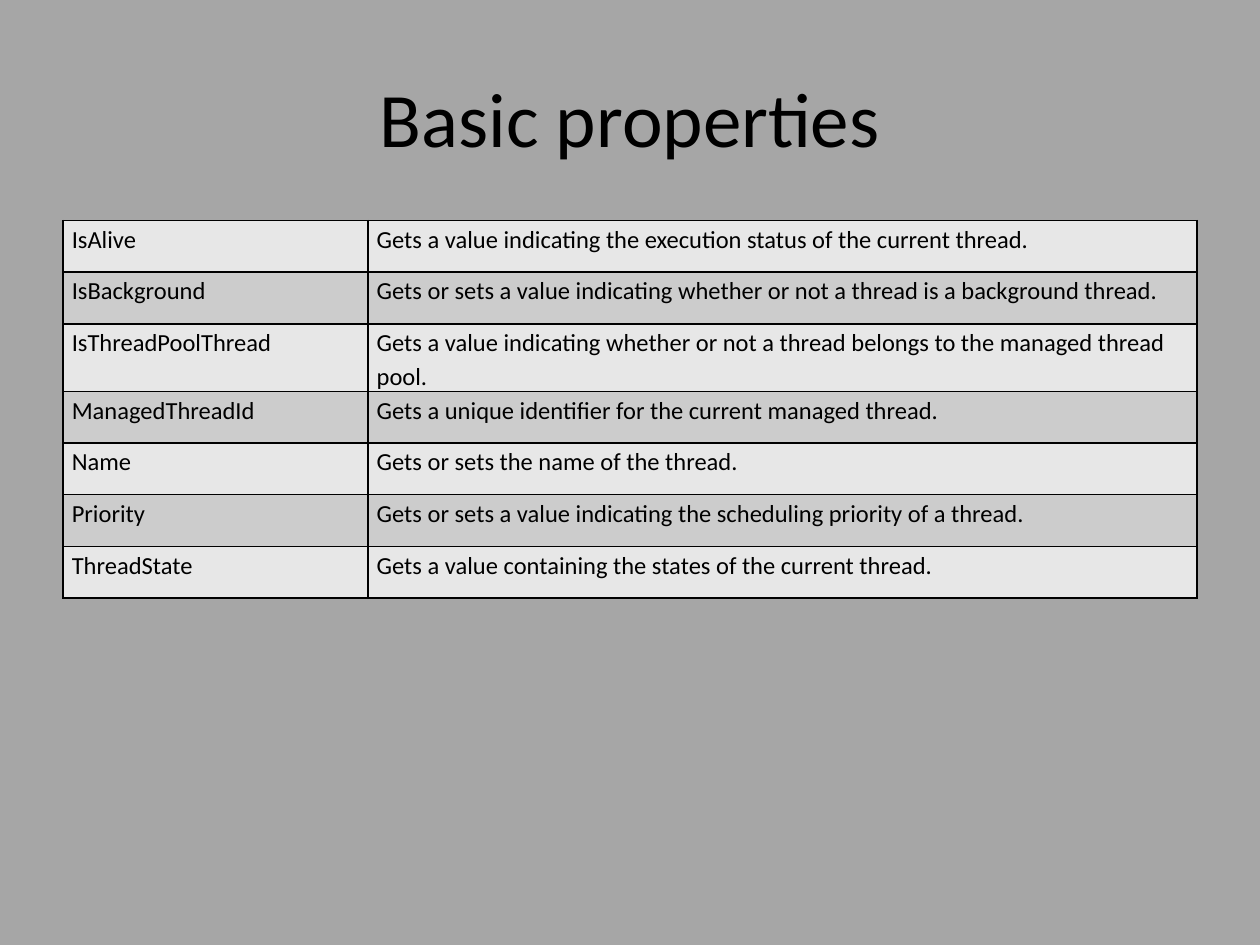
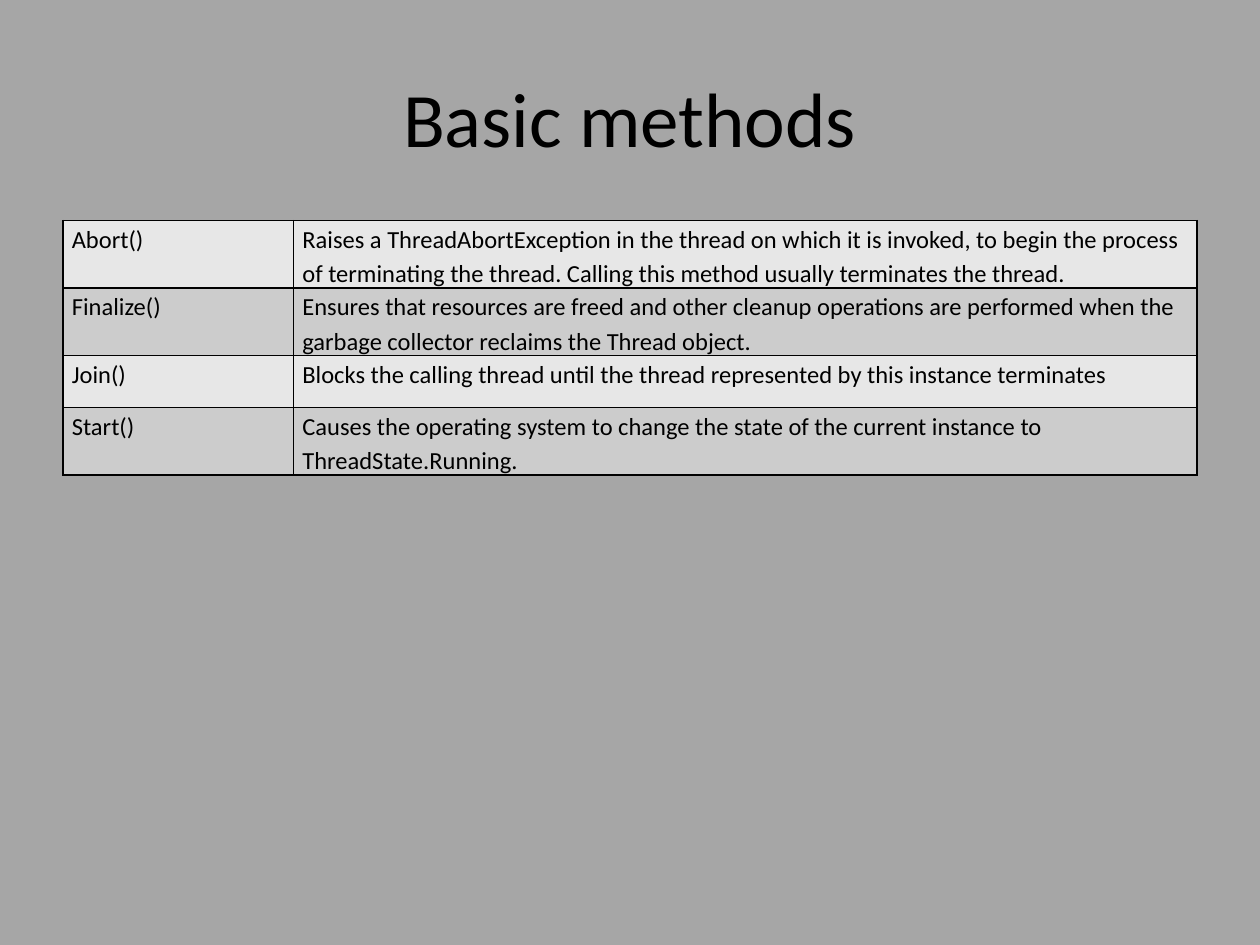
from dataclasses import dataclass

from lxml import etree
from pptx import Presentation
from pptx.dml.color import RGBColor
from pptx.enum.text import MSO_ANCHOR, PP_ALIGN
from pptx.oxml.ns import qn
from pptx.util import Inches, Pt

MIDDLE = MSO_ANCHOR.MIDDLE
TOP = MSO_ANCHOR.TOP
CENTER = PP_ALIGN.CENTER
LEFT = PP_ALIGN.LEFT

COLORS = {
    "background": "A6A6A6",
    "ink": "000000",
    "odd_row": "E7E7E7",
    "even_row": "CCCCCC",
}
FONT = "Calibri"
MARGIN = 0.5
CONTENT_WIDTH = 9
TITLE_TOP = 0.3
TITLE_HEIGHT = 1.25
TABLE_TOP = 1.75
ROW_HEIGHT = 0.41
CELL_INSET = 0.07
BLANK_LAYOUT = 6


@dataclass(frozen=True)
class Member:
    name: str
    description: str


@dataclass(frozen=True)
class ReferencePage:
    title: str
    name_width: float
    members: tuple[Member, ...]


PAGES = (
    ReferencePage("Basic properties", 2.42, (
        Member("IsAlive", "Gets a value indicating the execution status of the current thread."),
        Member("IsBackground",
               "Gets or sets a value indicating whether or not a thread is a background thread."),
        Member("IsThreadPoolThread",
               "Gets a value indicating whether or not a thread belongs to the managed thread pool."),
        Member("ManagedThreadId", "Gets a unique identifier for the current managed thread."),
        Member("Name", "Gets or sets the name of the thread."),
        Member("Priority", "Gets or sets a value indicating the scheduling priority of a thread."),
        Member("ThreadState", "Gets a value containing the states of the current thread."),
    )),
    ReferencePage("Basic methods", 1.83, (
        Member("Abort()",
               "Raises a ThreadAbortException in the thread on which it is invoked, to begin the "
               "process of terminating the thread. Calling this method usually terminates the thread."),
        Member("Finalize()",
               "Ensures that resources are freed and other cleanup operations are performed when "
               "the garbage collector reclaims the Thread object."),
        Member("Join()",
               "Blocks the calling thread until the thread represented by this instance terminates"),
        Member("Start()",
               "Causes the operating system to change the state of the current instance to "
               "ThreadState.Running."),
    )),
)


def color(name: str) -> RGBColor:
    return RGBColor.from_string(COLORS[name])


def write(frame, text: str, size: float, alignment, line_spacing: float = 1.0) -> None:
    para = frame.paragraphs[0]
    para.alignment = alignment
    para.line_spacing = line_spacing
    span = para.add_run()
    span.text = text
    span.font.name = FONT
    span.font.size = Pt(size)
    span.font.color.rgb = color("ink")


def add_title(page, text: str) -> None:
    box = page.shapes.add_textbox(
        Inches(MARGIN), Inches(TITLE_TOP), Inches(CONTENT_WIDTH), Inches(TITLE_HEIGHT))
    box.text_frame.word_wrap = True
    box.text_frame.vertical_anchor = MIDDLE
    write(box.text_frame, text, 44, CENTER)


def add_borders(cell) -> None:
    properties = cell._tc.get_or_add_tcPr()
    for position, side in enumerate(("a:lnL", "a:lnR", "a:lnT", "a:lnB")):
        line = etree.Element(qn(side), w=str(Pt(1)))
        fill = etree.SubElement(line, qn("a:solidFill"))
        etree.SubElement(fill, qn("a:srgbClr"), val=COLORS["ink"])
        properties.insert(position, line)


def fill_cell(cell, text: str, fill: str) -> None:
    cell.margin_left = cell.margin_right = Inches(CELL_INSET)
    cell.margin_top = cell.margin_bottom = Inches(0)
    cell.vertical_anchor = TOP
    cell.fill.solid()
    cell.fill.fore_color.rgb = color(fill)
    add_borders(cell)
    write(cell.text_frame, text, 14, LEFT, 1.15)


def add_member_table(page, reference: ReferencePage) -> None:
    members = reference.members
    table = page.shapes.add_table(
        len(members), 2, Inches(MARGIN), Inches(TABLE_TOP),
        Inches(CONTENT_WIDTH), Inches(ROW_HEIGHT * len(members))).table
    table.first_row = False
    table.horz_banding = False
    table.columns[0].width = Inches(reference.name_width)
    table.columns[1].width = Inches(CONTENT_WIDTH - reference.name_width)
    for index, member in enumerate(members):
        table.rows[index].height = Inches(ROW_HEIGHT)
        fill = "even_row" if index % 2 else "odd_row"
        fill_cell(table.cell(index, 0), member.name, fill)
        fill_cell(table.cell(index, 1), member.description, fill)


def main() -> None:
    deck = Presentation()
    deck.slide_width = Inches(10)
    deck.slide_height = Inches(7.5)
    background = deck.slide_master.background.fill
    background.solid()
    background.fore_color.rgb = color("background")
    for reference in PAGES:
        page = deck.slides.add_slide(deck.slide_layouts[BLANK_LAYOUT])
        add_title(page, reference.title)
        add_member_table(page, reference)
    deck.save("out.pptx")


if __name__ == "__main__":
    main()
